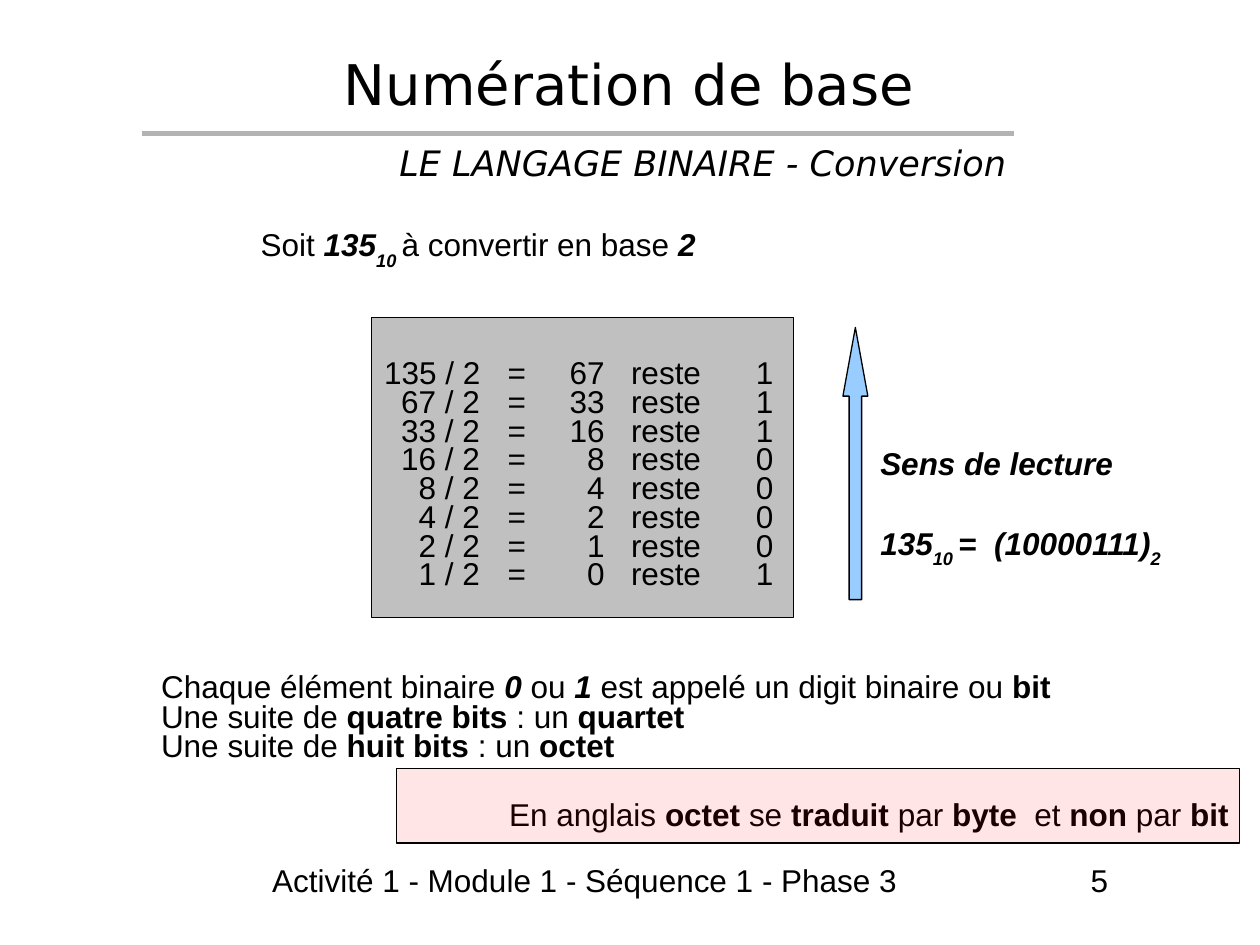
import pptx
import pptx.util
import pptx.dml.color
import pptx.enum.shapes
import pptx.enum.text
from lxml import etree

Inches, Pt = pptx.util.Inches, pptx.util.Pt
SHAPE = pptx.enum.shapes.MSO_SHAPE
ALIGN = pptx.enum.text.PP_ALIGN
A = "{http://schemas.openxmlformats.org/drawingml/2006/main}"
INSETS = (0.1, 0.05, 0.1, 0.05)
BODY = {"size": Pt(18), "name": "Arial"}
STYLES = {
    "": {},
    "b": {"bold": True},
    "i": {"italic": True},
    "bi": {"bold": True, "italic": True},
    "sub": {"bold": True, "italic": True},
}


def rgb(value):
    return pptx.dml.color.RGBColor.from_string(value)


def part(box, left, top, width, height):
    """Box in inches that covers the given shares of another box."""
    x, y, w, h = box
    return x + left * w, y + top * h, width * w, height * h


def fill_text(sp, paragraphs, font=BODY, spacing=0.76, align=ALIGN.LEFT,
              insets=INSETS, tabs=()):
    """Write paragraphs, each a list of (text, style name) runs."""
    tf = sp.text_frame
    left, top, right, bottom = map(Inches, insets)
    frame = {"margin_left": left, "margin_top": top, "margin_right": right,
             "margin_bottom": bottom, "word_wrap": True,
             "vertical_anchor": pptx.enum.text.MSO_ANCHOR.TOP}
    for key, value in frame.items():
        setattr(tf, key, value)
    for i, runs in enumerate(paragraphs):
        p = tf.add_paragraph() if i else tf.paragraphs[0]
        p.alignment, p.line_spacing = align, spacing
        if tabs:
            tab_list = etree.SubElement(p._p.get_or_add_pPr(), A + "tabLst")
            for pos, side in tabs:
                etree.SubElement(tab_list, A + "tab", pos=str(Inches(pos)), algn=side)
        for text, style in runs:
            r = p.add_run()
            r.text = text
            for key, value in {**font, **STYLES[style]}.items():
                setattr(r.font, key, value)
            r.font.color.rgb = rgb("000000")
            if style == "sub":
                r._r.get_or_add_rPr().set("baseline", "-33000")


def add_text(slide, box, paragraphs, **options):
    fill_text(slide.shapes.add_textbox(*map(Inches, box)), paragraphs, **options)


def add_outlined(slide, kind, box, fill, adjustments=()):
    sp = slide.shapes.add_shape(kind, *map(Inches, box))
    sp.shadow.inherit = False
    sp.fill.solid()
    sp.fill.fore_color.rgb = rgb(fill)
    sp.line.color.rgb = rgb("000000")
    sp.line.width = Pt(0.75)
    for i, value in enumerate(adjustments):
        sp.adjustments[i] = value
    return sp


def add_header(slide, box):
    heading = {"spacing": 1.01, "align": ALIGN.CENTER}
    add_text(slide, box, [[("Numération de base", "")]],
             font={"size": Pt(32), "name": "DejaVu Sans"},
             insets=(0.1, 0.16, 0.1, 0.05), **heading)
    x, y, w, _ = part(box, 0.07, 0.6, 0.77, 0)
    rule = slide.shapes.add_connector(
        pptx.enum.shapes.MSO_CONNECTOR.STRAIGHT, *map(Inches, (x, y, x + w, y)))
    rule.line.color.rgb = rgb("B3B3B3")
    rule.line.width = Pt(2.83)
    etree.SubElement(rule._element.spPr, A + "effectLst")
    add_text(slide, part(box, 0.075, 0.61, 0.98, 0.32),
             [[("LE LANGAGE BINAIRE - Conversion", "i")]],
             font={"size": Pt(20), "name": "DejaVu Sans"}, **heading)


def division_rows(n):
    """Successive divisions by two, down to a quotient of zero."""
    rows = []
    while n:
        rows.append([(f"\t{n} / 2\t=\t{n // 2}\treste\t{n % 2}", "")])
        n //= 2
    return rows


def add_conversion(slide, box, number):
    panel = add_outlined(slide, SHAPE.RECTANGLE,
                         part(box, 0.1335, 0.24, 0.4565, 0.76), "C0C0C0")
    fill_text(panel, division_rows(number), insets=(0.1, 0.35, 0.1, 0.05),
              tabs=[(0.76, "r"), (0.98, "l"), (1.75, "r"), (1.96, "l"), (2.95, "l")])
    add_text(slide, part(box, 0, 0, 0.5, 0.12),
             [[("Soit ", ""), (str(number), "bi"), ("10 ", "sub"),
               ("à convertir en base ", ""), ("2", "bi")]])
    add_outlined(slide, SHAPE.UP_ARROW, part(box, 0.643, 0.265, 0.027, 0.69),
                 "99CCFF", (0.5, 2.75))
    add_text(slide, part(box, 0.67, 0.565, 0.29, 0.11), [[("Sens de lecture", "bi")]])
    add_text(slide, part(box, 0.67, 0.757, 0.35, 0.12),
             [[(str(number), "bi"), ("10 ", "sub"),
               (f"=  ({number:b})", "bi"), ("2", "sub")]])


def add_definitions(slide, box):
    add_text(slide, part(box, 0, 0, 0.84, 0.24),
             [[("Chaque élément binaire ", ""), ("0", "bi"), (" ou ", ""), ("1", "bi"),
               (" est appelé un digit binaire ou ", ""), ("bit", "b")]])
    groups = [("quatre bits", "quartet"), ("huit bits", "octet")]
    add_text(slide, part(box, 0, 0.174, 0.53, 0.41),
             [[("Une suite de ", ""), (size, "b"), (" : un ", ""), (name, "b")]
              for size, name in groups])
    add_text(slide, part(box, 0.319, 0.74, 0.698, 0.24),
             [[("En anglais ", ""), ("octet", "b"), (" se ", ""), ("traduit", "b"),
               (" par ", ""), ("byte", "b"), ("  et ", ""), ("non", "b"),
               (" par ", ""), ("bit", "b")]])
    frame = add_outlined(slide, SHAPE.ROUNDED_RECTANGLE,
                         part(box, 0.2275, 0.572, 0.7725, 0.428), "FF0000", (0,))
    color = frame._element.spPr.find(f"{A}solidFill/{A}srgbClr")
    etree.SubElement(color, A + "alpha", val="10000")


def add_footer(slide, box):
    cells = [(0, 0.885, "Activité 1 - Module 1 - Séquence 1 - Phase 3"),
             (0.89, 0.11, "5")]
    for left, width, text in cells:
        add_text(slide, part(box, left, 0, width, 1), [[(text, "")]],
                 insets=(0, 0.07, 0, 0))


def main():
    prs = pptx.Presentation()
    prs.slide_width, prs.slide_height = Inches(10), Inches(7.5)
    slide = prs.slides.add_slide(prs.slide_layouts[6])
    add_header(slide, (0.5, 0.23, 8.99, 1.38))
    add_conversion(slide, (1.97, 1.77, 7.34, 3.13), 135)
    add_definitions(slide, (1.18, 5.31, 8.66, 1.38))
    add_footer(slide, (2.16, 6.83, 7.3, 0.48))
    prs.save("out.pptx")


if __name__ == "__main__":
    main()
